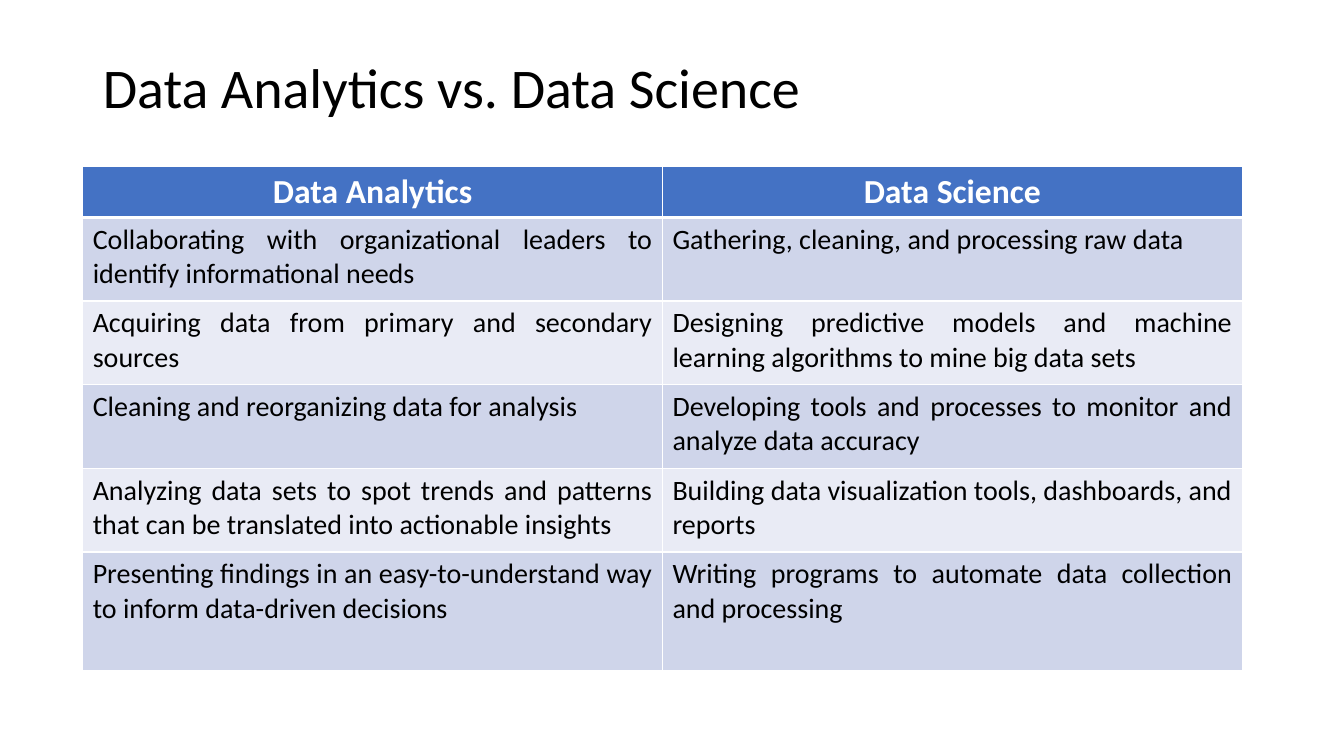
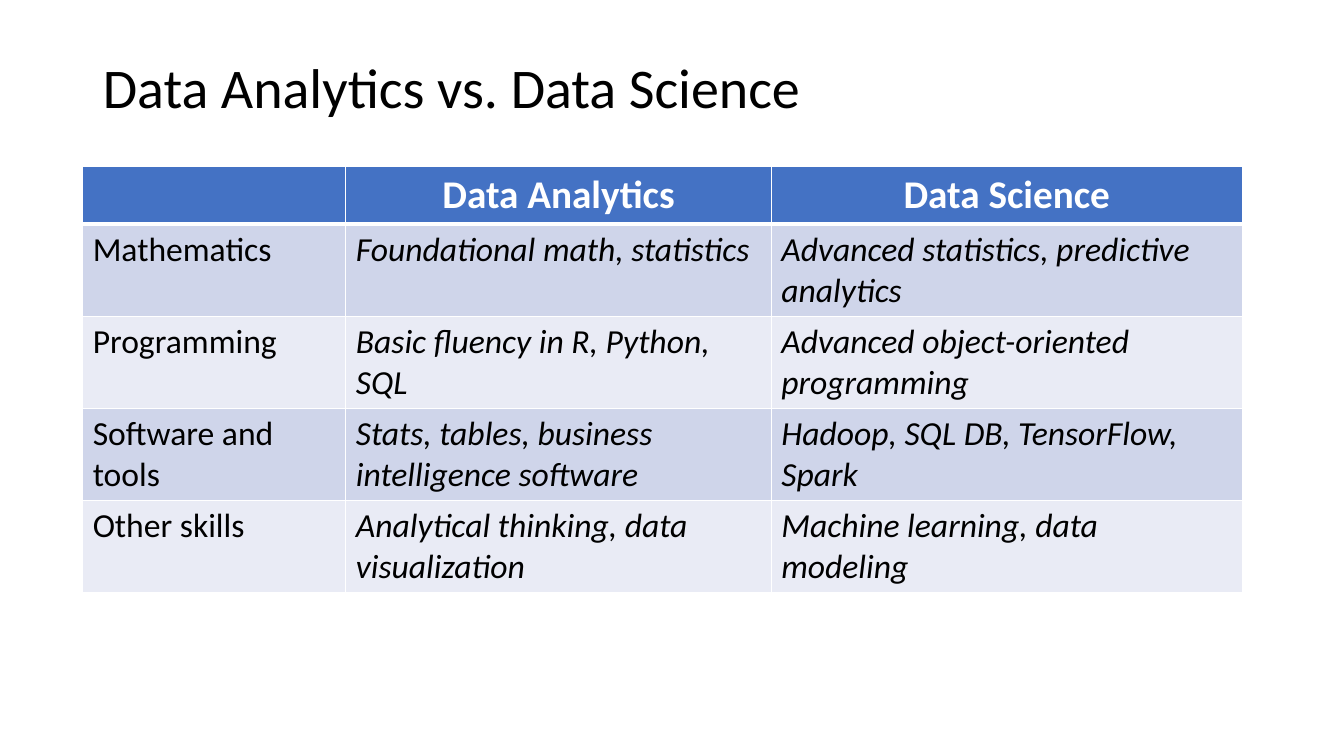
from lxml import etree
from pptx import Presentation
from pptx import util as u
from pptx.dml.color import RGBColor
from pptx.enum import text
from pptx.oxml import ns

FONT = "Calibri"
BLACK, WHITE = "000000", "FFFFFF"
HEADER_FILL = "4472C4"
BAND_FILLS = ("CFD5EA", "E9EBF5")
TITLE = "Data Analytics vs. Data Science"
TITLE_BOX = (0.92, 0.4, 11.27, 1)
TABLE_LEFT, TABLE_TOP = 0.82, 1.65
HEADER_HEIGHT, ROW_HEIGHT = 0.48, 0.83
ALIGN = text.PP_ALIGN

TASKS = [
    ("Data Analytics", "Data Science"),
    ("Collaborating with organizational leaders to identify informational needs",
     "Gathering, cleaning, and processing raw data"),
    ("Acquiring data from primary and secondary sources",
     "Designing predictive models and machine learning algorithms to mine big data sets"),
    ("Cleaning and reorganizing data for analysis",
     "Developing tools and processes to monitor and analyze data accuracy"),
    ("Analyzing data sets to spot trends and patterns that can be translated "
     "into actionable insights",
     "Building data visualization tools, dashboards, and reports"),
    ("Presenting findings in an easy-to-understand way to inform data-driven decisions",
     "Writing programs to automate data collection and processing"),
]
SKILLS = [
    ("", "Data Analytics", "Data Science"),
    ("Mathematics", "Foundational math, statistics",
     "Advanced statistics, predictive analytics"),
    ("Programming", "Basic fluency in R, Python, SQL",
     "Advanced object-oriented programming"),
    ("Software and tools", "Stats, tables, business intelligence software",
     "Hadoop, SQL DB, TensorFlow, Spark"),
    ("Other skills", "Analytical thinking, data visualization",
     "Machine learning, data modeling"),
]


def color(value):
    return RGBColor.from_string(value)


def format_text(paragraph, size, value, align, bold=False, italic=False):
    paragraph.alignment = align
    for run in paragraph.runs:
        font = run.font
        font.name, font.size = FONT, u.Pt(size)
        font.bold, font.italic = bold, italic
        font.color.rgb = color(value)


def set_borders(cell, top, bottom):
    """White cell edges; widths in points."""
    properties = cell._tc.get_or_add_tcPr()
    widths = {"lnL": 1, "lnR": 1, "lnT": top, "lnB": bottom}
    for index, (edge, width) in enumerate(widths.items()):
        line = etree.Element(ns.qn("a:" + edge), w=str(u.Pt(width)))
        fill = etree.SubElement(line, ns.qn("a:solidFill"))
        etree.SubElement(fill, ns.qn("a:srgbClr"), val=WHITE)
        properties.insert(index, line)


def add_title(slide, box):
    title = slide.shapes.title
    title.left, title.top, title.width, title.height = map(u.Inches, box)
    frame = title.text_frame
    frame.text = TITLE
    frame.auto_size = text.MSO_AUTO_SIZE.NONE
    frame.vertical_anchor = text.MSO_ANCHOR.MIDDLE
    frame.paragraphs[0].line_spacing = 0.9
    format_text(frame.paragraphs[0], 40, BLACK, ALIGN.LEFT)


def add_comparison(slide, left, top, rows, widths, heights, header_size,
                   body_size, body_align, italic_from):
    """Banded table; body columns from italic_from onward are italic."""
    table = slide.shapes.add_table(
        len(rows), len(widths), u.Inches(left), u.Inches(top),
        u.Inches(sum(widths)), u.Inches(sum(heights))).table
    for column, width in zip(table.columns, widths):
        column.width = u.Inches(width)
    for row_index, values in enumerate(rows):
        table.rows[row_index].height = u.Inches(heights[row_index])
        header = row_index == 0
        for column_index, value in enumerate(values):
            cell = table.cell(row_index, column_index)
            cell.text = value
            paragraph = cell.text_frame.paragraphs[0]
            if header:
                format_text(paragraph, header_size, WHITE, ALIGN.CENTER, bold=True)
            else:
                format_text(paragraph, body_size, BLACK, body_align,
                            italic=column_index >= italic_from)
            cell.fill.solid()
            cell.fill.fore_color.rgb = color(
                HEADER_FILL if header else BAND_FILLS[(row_index - 1) % 2])
            # A heavier rule separates the header from the body
            set_borders(cell, top=3 if row_index == 1 else 1,
                        bottom=3 if header else 1)


def add_comparison_slide(presentation, rows, widths, heights, **style):
    slide = presentation.slides.add_slide(presentation.slide_layouts[5])
    add_title(slide, TITLE_BOX)
    add_comparison(slide, TABLE_LEFT, TABLE_TOP, rows, widths, heights, **style)


def main():
    presentation = Presentation()
    presentation.slide_width = u.Inches(13.33)
    presentation.slide_height = u.Inches(7.5)

    # Tasks of each field
    add_comparison_slide(
        presentation, TASKS, [5.75] * 2,
        [HEADER_HEIGHT] + [ROW_HEIGHT] * 4 + [1.18],
        header_size=24, body_size=20, body_align=ALIGN.JUSTIFY, italic_from=2)

    # Skills of each field
    add_comparison_slide(
        presentation, SKILLS, [2.61, 4.22, 4.67],
        [HEADER_HEIGHT] + [ROW_HEIGHT] * 4,
        header_size=28, body_size=24, body_align=ALIGN.LEFT, italic_from=1)

    presentation.save("out.pptx")


if __name__ == "__main__":
    main()
